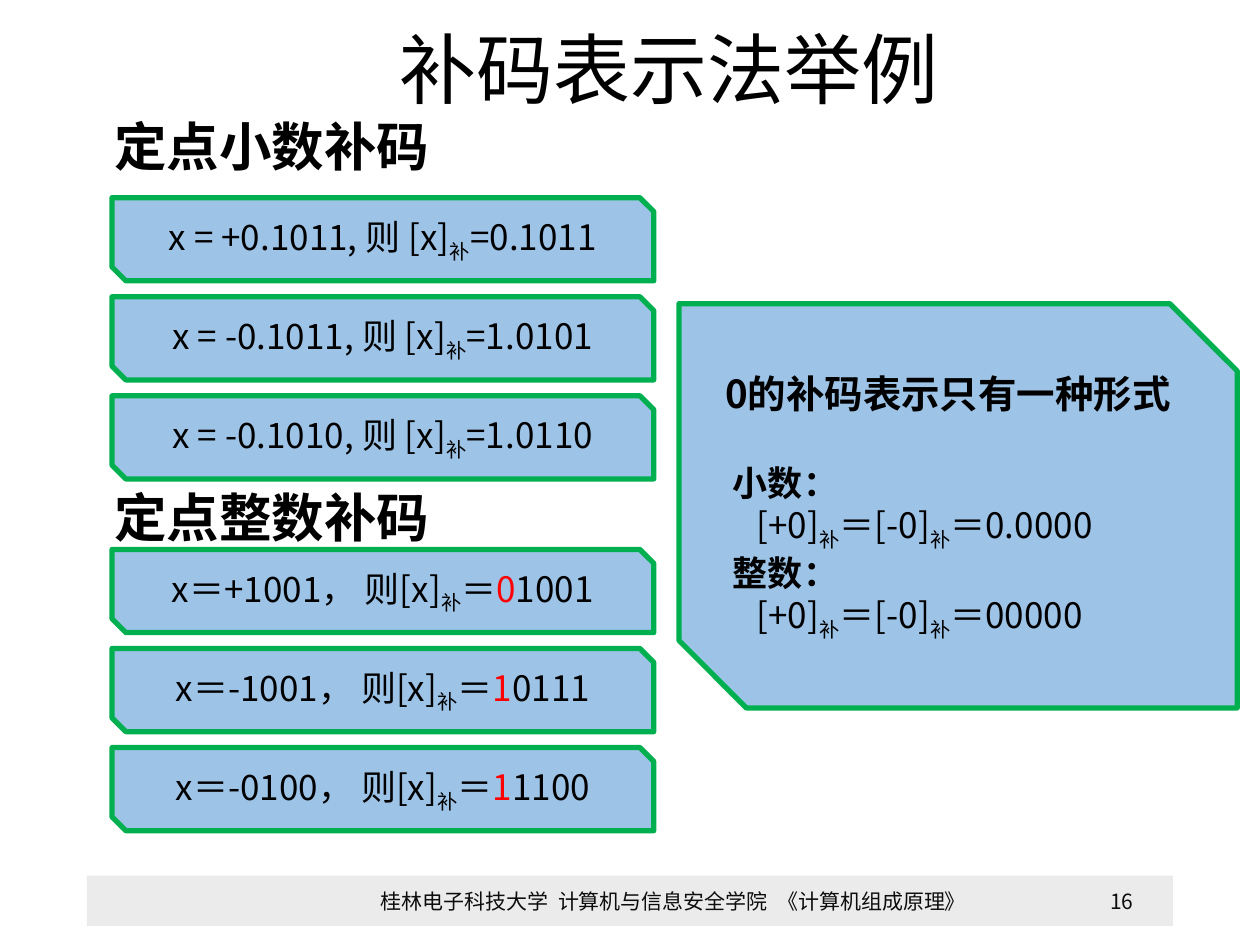
from lxml import etree
from pptx import Presentation
from pptx.dml.color import RGBColor
from pptx.enum.shapes import MSO_SHAPE
from pptx.enum.text import MSO_ANCHOR, PP_ALIGN
from pptx.oxml.ns import qn
from pptx.util import Pt

RECT, SNIP = MSO_SHAPE.RECTANGLE, MSO_SHAPE.SNIP_2_DIAG_RECTANGLE
LEFT, CENTER = PP_ALIGN.LEFT, PP_ALIGN.CENTER
TOP, MIDDLE = MSO_ANCHOR.TOP, MSO_ANCHOR.MIDDLE
FONT = "Noto Sans CJK SC"
COLORS = {"text": "000000", "footer_text": "0D0D0D", "footer": "EBEBEB",
          "card": "9DC3E6", "border": "00B050", "sign": "FF0000"}

TITLE = "补码表示法举例"
SECTIONS = [
    ("定点小数补码", 65.5, 113, [
        ("x = +0.1011, 则 [x]", "", "=0.1011"),
        ("x = -0.1011, 则 [x]", "", "=1.0101"),
        ("x = -0.1010, 则 [x]", "", "=1.0110"),
    ]),
    ("定点整数补码", 277.5, 314, [
        ("x＝+1001， 则[x]", "0", "1001"),
        ("x＝-1001， 则[x]", "1", "0111"),
        ("x＝-0100， 则[x]", "1", "1100"),
    ]),
]
ZERO_TITLE = "0的补码表示只有一种形式"
ZERO_FORMS = [("小数：", "＝0.0000"), ("整数：", "＝00000")]
FOOTER = [
    ("桂林电子科技大学  计算机与信息安全学院  《计算机组成原理》", 207.5, 355),
    ("16", 612, 58),
]
SUB = "补"
CARD_X, CARD_W, CARD_H, CARD_PITCH = 64, 309.6, 47.5, 56.6


def color(name):
    return RGBColor.from_string(COLORS[name])


def add_run(p, text, size, name="text", bold=False):
    r = p.add_run()
    r.text = text
    r.font.size, r.font.bold, r.font.name = Pt(size), bold, FONT
    r.font.color.rgb = color(name)
    rPr = r.font._element
    etree.SubElement(rPr, qn("a:ea")).set("typeface", FONT)
    if text == SUB:
        rPr.set("baseline", "-25000")


def add_runs(p, texts, size):
    for text in texts:
        add_run(p, text, size)


def add_text(slide, text, box, size, align=LEFT, anchor=MIDDLE, name="text", bold=False, spacing=None):
    tf = slide.shapes.add_textbox(*map(Pt, box)).text_frame
    tf.word_wrap, tf.vertical_anchor = True, anchor
    p = tf.paragraphs[0]
    p.alignment, p.line_spacing = align, spacing
    add_run(p, text, size, name, bold)


def add_card(slide, box, align):
    s = slide.shapes.add_shape(SNIP, *map(Pt, box))
    s.shadow.inherit = False
    s.fill.solid()
    s.fill.fore_color.rgb = color("card")
    s.line.color.rgb = color("border")
    s.line.width = Pt(3)
    tf = s.text_frame
    tf.word_wrap, tf.vertical_anchor = True, MIDDLE
    tf.paragraphs[0].alignment = align
    return tf


def add_line(tf, indent, before=0):
    p = tf.add_paragraph()
    p.alignment, p.space_before = LEFT, Pt(before)
    p._p.get_or_add_pPr().set("marL", str(Pt(indent)))
    return p


def add_footer(slide):
    bar = slide.shapes.add_shape(RECT, Pt(49.7), Pt(500.4), Pt(620.6), Pt(28.8))
    bar.shadow.inherit = False
    bar.fill.solid()
    bar.fill.fore_color.rgb = color("footer")
    bar.line.fill.background()
    for text, x, w in FOOTER:
        add_text(slide, text, (x, 500.4, w, 28.8), 12, CENTER, name="footer_text")


def add_section(slide, heading, heading_y, first_y, examples):
    add_text(slide, heading, (58.3, heading_y, 310, 46), 30, anchor=TOP, bold=True, spacing=0.9)
    for i, (given, sign, digits) in enumerate(examples):
        box = CARD_X, first_y + i * CARD_PITCH, CARD_W, CARD_H
        p = add_card(slide, box, CENTER).paragraphs[0]
        add_runs(p, [given, SUB], 20)
        if sign:
            add_run(p, "＝", 20)
            add_run(p, sign, 20, "sign")
        add_run(p, digits, 20)


def add_zero_panel(slide):
    tf = add_card(slide, (388, 173.5, 319, 231), LEFT)
    add_run(tf.paragraphs[0], ZERO_TITLE, 22, bold=True)
    for i, (label, value) in enumerate(ZERO_FORMS):
        add_run(add_line(tf, 4.5, 0 if i else 26), label, 20, bold=True)
        add_runs(add_line(tf, 18), ["[+0]", SUB, "＝[-0]", SUB, value], 20)


def main():
    prs = Presentation()
    prs.slide_width, prs.slide_height = Pt(720), Pt(540)
    slide = prs.slides.add_slide(prs.slide_layouts[6])
    add_footer(slide)
    add_text(slide, TITLE, (221, 14.4, 480, 55.4), 44, spacing=0.9)
    for section in SECTIONS:
        add_section(slide, *section)
    add_zero_panel(slide)
    prs.save("out.pptx")


if __name__ == "__main__":
    main()
